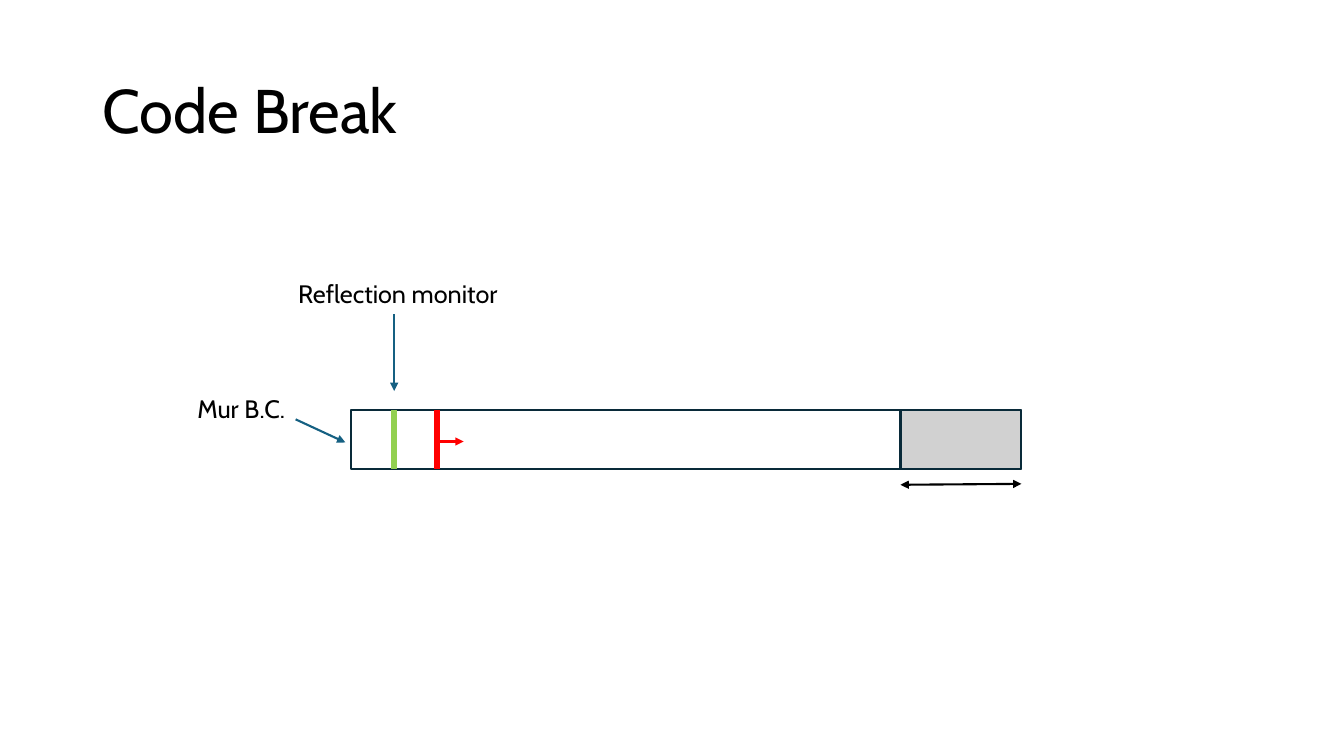
from pptx import Presentation
from pptx.dml.color import RGBColor
from pptx.enum.shapes import MSO_CONNECTOR as Conn, MSO_SHAPE as Shape
from pptx.enum.text import MSO_ANCHOR as Anchor, MSO_AUTO_SIZE as Fit, PP_ALIGN as Align
from pptx.oxml.ns import qn
from pptx.util import Inches, Pt
from lxml.etree import SubElement

WIDE, HIGH = Inches(13.33), Inches(7.5)
FONT = "Cabin"
BLACK, NAVY, BLUE = "000000", "092A39", "156082"
RED, GREEN, GREY = "FF0000", "92D050", "D1D1D1"

# Places in percent of the slide's width (x) and height (y)
LEFT, SPLIT, RIGHT = 26.1, 67, 76
TOP, BASE = 54.27, 62
PROBE, PULSE = 29.33, 32.5


def color(code):
    return RGBColor.from_string(code)


def across(x):
    return round(WIDE * x / 100)


def down(y):
    return round(HIGH * y / 100)


def box(x, y, w, h):
    return across(x), down(y), across(w), down(h)


def write(frame, text, size):
    frame.word_wrap = True
    frame.text = text
    par = frame.paragraphs[0]
    par.alignment = Align.LEFT
    par.font.name = FONT
    par.font.size = Pt(size)
    par.font.color.rgb = color(BLACK)
    return par


def add_title(slide, text):
    title = slide.shapes.title
    title.left, title.top, title.width, title.height = box(6.9, 5.33, 86.25, 19.33)
    frame = title.text_frame
    frame.auto_size = Fit.NONE
    frame.vertical_anchor = Anchor.MIDDLE
    write(frame, text, 44).line_spacing = 0.9


def add_label(slide, text, x, y, w):
    label = slide.shapes.add_textbox(*box(x, y, w, 5.33))
    write(label.text_frame, text, 18)
    label.text_frame.auto_size = Fit.SHAPE_TO_FIT_TEXT


def add_block(slide, x1, x2, fill=None):
    block = slide.shapes.add_shape(Shape.RECTANGLE, *box(x1, TOP, x2 - x1, BASE - TOP))
    block.shadow.inherit = False
    if fill:
        block.fill.solid()
        block.fill.fore_color.rgb = color(fill)
    else:
        block.fill.background()
    block.line.color.rgb = color(NAVY)
    block.line.width = Pt(1.5)


def add_line(slide, start, end, code, width=1.5, heads=()):
    (x1, y1), (x2, y2) = start, end
    line = slide.shapes.add_connector(
        Conn.STRAIGHT, across(x1), down(y1), across(x2), down(y2))
    line.line.color.rgb = color(code)
    line.line.width = Pt(width)
    props = line._element.spPr
    for head in heads:
        SubElement(props.find(qn("a:ln")), qn(f"a:{head}"), type="triangle")
    SubElement(props, qn("a:effectLst"))


def main():
    deck = Presentation()
    deck.slide_width, deck.slide_height = WIDE, HIGH
    slide = deck.slides.add_slide(deck.slide_layouts[5])
    add_title(slide, "Code Break")

    # Domain with its shaded end zone
    add_block(slide, SPLIT, RIGHT, GREY)
    add_block(slide, LEFT, RIGHT)
    add_line(slide, (SPLIT, 64.13), (RIGHT, 64), BLACK, heads=("headEnd", "tailEnd"))

    # Source and monitor planes
    for x, code in ((PULSE, RED), (PROBE, GREEN)):
        add_line(slide, (x, TOP), (x, BASE), code, 4.5)

    # Labels
    add_label(slide, "Mur B.C.", 13.95, 51.33, 9.6)
    add_label(slide, "Reflection monitor", 21.45, 36.13, 21.9)

    # Pointers and direction of travel
    for start, end, code in (
        ((22, 55.47), (25.7, 58.53), BLUE),
        ((PROBE, 41.6), (PROBE, 51.73), BLUE),
        ((PULSE, 58.4), (34.5, 58.4), RED),
    ):
        add_line(slide, start, end, code, heads=("tailEnd",))

    deck.save("out.pptx")


if __name__ == "__main__":
    main()
